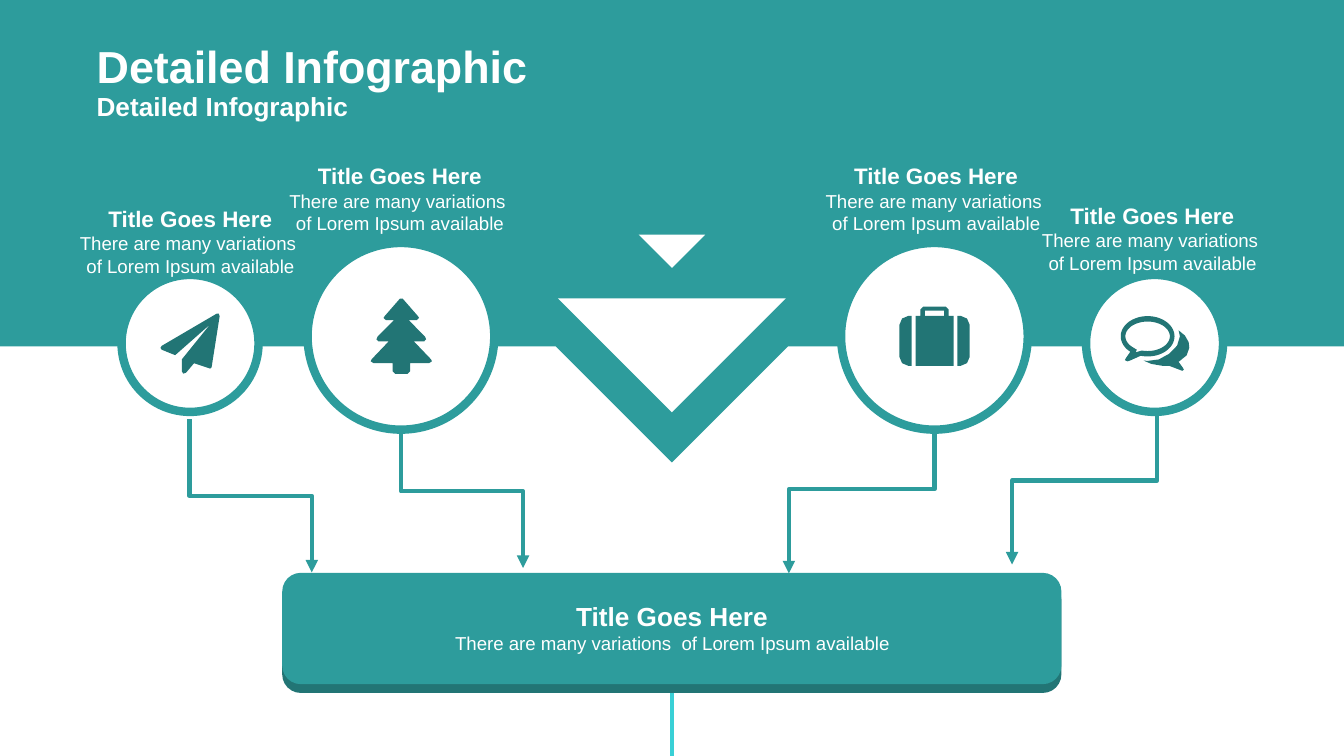
from math import cos, radians, sin

from lxml.etree import SubElement
from pptx import Presentation
from pptx.dml.color import RGBColor
from pptx.enum.shapes import MSO_CONNECTOR as Link, MSO_SHAPE as Preset
from pptx.enum.text import MSO_ANCHOR as Anchor, MSO_AUTO_SIZE as AutoSize, PP_ALIGN as Align
from pptx.oxml.ns import qn
from pptx.util import Pt

TEAL = RGBColor(0x2D, 0x9C, 0x9C)
DARK_TEAL = RGBColor(0x22, 0x75, 0x75)
CYAN = RGBColor(0x39, 0xD0, 0xD6)
WHITE = RGBColor(0xFF, 0xFF, 0xFF)

HEADING = "Title Goes Here"
DETAIL = "There are many variations \vof Lorem Ipsum available"
SUMMARY = "There are many variations  of Lorem Ipsum available"


def arc(cx, cy, rx, ry, start, end):
    return [(cx + rx * cos(radians(a)), cy + ry * sin(radians(a)))
            for a in range(start, end + 1, 5)]


def mirrored(points, axis):
    return [(2 * axis - x, y) for x, y in reversed(points)]


def tree_outline():
    right = [(17.2, 0), (25.4, 9.4), (26, 10.4), (24.8, 11.5), (20.4, 11.5),
             (29.2, 20.4), (29.8, 21.8), (28.7, 23), (23.3, 23), (32.3, 32.4),
             (32.9, 33.6), (31.4, 34.6), (21.2, 34.6), (21.2, 38.9), (19.8, 40.3)]
    return [right + mirrored(right, 16.5)]


def plane_outline():
    return [[(31.7, 1.4), (27.4, 28.8), (26.6, 29.5), (18, 26.6), (13.7, 31.7),
             (12.2, 32.2), (11.5, 31), (11.5, 24.5), (26.6, 5.8), (7.9, 22.3),
             (0.7, 19.4), (0, 18.4), (0.7, 17.3), (30.2, 0), (31.2, 0)]]


def suitcase_outline():
    side = [(6.5, 31.7), (4.7, 31.7), (1.4, 30.3), (0, 27), (0, 9.7),
            (1.4, 6.4), (4.7, 5), (6.5, 5)]
    body = [(8.6, 31.7), (8.6, 5), (11.2, 5), (11.2, 1.6), (12.8, 0),
            (24.8, 0), (26.4, 1.6), (26.4, 5), (29, 5), (29, 31.7)]
    handle_gap = [(13.6, 5), (24, 5), (24, 2.2), (13.6, 2.2)]
    return [side, body, handle_gap, mirrored(side, 18.8)]


def chat_outline():
    bubble = arc(14.4, 10.8, 14.4, 10.8, 130, 465)
    bubble += [(5, 23.8), (3.6, 24.2), (2.2, 23.6), (2.9, 22.3)]
    bubble_gap = arc(14.4, 10.8, 11.9, 7.9, 130, 465)
    bubble_gap += [(7.9, 19.4), (8.6, 18)]
    reply = [(33.1, 27.4), (33.8, 28.6), (33, 29.3), (31.7, 28.8), (25.9, 26.6),
             (22.3, 26.6), (16.4, 25.6), (12.2, 23.8), (14.4, 24), (20.4, 23.2),
             (25.9, 20.2), (30.2, 15.8), (31.7, 10.8), (31, 7.6), (34.4, 10.4),
             (36.4, 14), (36.7, 17), (35.3, 21), (31, 24.5)]
    return [bubble, mirrored(bubble_gap, 0) and bubble_gap[::-1], reply]


def paint(shape, fill, line=None, weight=0):
    shape.shadow.inherit = False
    shape.fill.solid()
    shape.fill.fore_color.rgb = fill
    if line is None:
        shape.line.fill.background()
    else:
        shape.line.color.rgb = line
        shape.line.width = Pt(weight)


def add_preset(shapes, preset, left, top, width, height, fill, line=None, weight=0):
    shape = shapes.add_shape(preset, Pt(left), Pt(top), Pt(width), Pt(height))
    paint(shape, fill, line, weight)
    return shape


def add_pointer(shapes, centre, top, side):
    pointer = add_preset(shapes, Preset.RIGHT_TRIANGLE, centre - side / 2, top,
                         side, side, WHITE)
    pointer.rotation = 315


def add_icon(shapes, left, top, contours):
    placed = [[(Pt(left + x), Pt(top + y)) for x, y in contour] for contour in contours]
    builder = shapes.build_freeform(*placed[0][0])
    builder.add_line_segments(placed[0][1:])
    for contour in placed[1:]:
        builder.move_to(*contour[0])
        builder.add_line_segments(contour[1:])
    paint(builder.convert_to_shape(), DARK_TEAL)


def add_line(shapes, kind, start, end, color):
    line = shapes.add_connector(kind, *map(Pt, start + end))
    line.line.color.rgb = color
    line.line.width = Pt(2.25)
    SubElement(line._element.spPr, qn("a:effectLst"))
    return line


def add_elbow_arrow(shapes, start, end):
    (x1, y1), (x2, y2) = start, end
    cx, cy = (x1 + x2) / 2, (y1 + y2) / 2
    run, drop = x2 - x1, y2 - y1
    arrow = add_line(shapes, Link.ELBOW, (cx - drop / 2, cy + run / 2),
                     (cx + drop / 2, cy - run / 2), TEAL)
    arrow._element.spPr.find(qn("a:xfrm")).set("rot", "5400000")
    SubElement(arrow.line._get_or_add_ln(), qn("a:tailEnd"), type="triangle")


def add_text(shapes, left, top, width, height, lines, align=Align.CENTER):
    box = shapes.add_textbox(Pt(left), Pt(top), Pt(width), Pt(height))
    frame = box.text_frame
    frame.word_wrap = True
    frame.text = "\n".join(text for text, _, _ in lines)
    for paragraph, (_, size, bold) in zip(frame.paragraphs, lines):
        paragraph.alignment = align
        for run in paragraph.runs:
            run.font.name = "Arial"
            run.font.size = Pt(size)
            run.font.bold = bold
            run.font.color.rgb = WHITE
    return frame


def add_header(shapes, top, width, height, text, size):
    frame = add_text(shapes, 51.8, top, width, height, [(text, size, True)], Align.LEFT)
    frame.vertical_anchor = Anchor.MIDDLE
    frame.margin_left = frame.margin_right = frame.margin_top = frame.margin_bottom = 0


def add_caption(shapes, centre, top, width, height, heading_size, detail):
    frame = add_text(shapes, centre - width / 2, top, width, height,
                     [(HEADING, heading_size, True), (detail, 10, False)])
    frame.auto_size = AutoSize.SHAPE_TO_FIT_TEXT


def main():
    deck = Presentation()
    deck.slide_width, deck.slide_height = Pt(720), Pt(405)
    shapes = deck.slides.add_slide(deck.slide_layouts[6]).shapes

    add_line(shapes, Link.STRAIGHT, (360, 370), (360, 405), CYAN)
    banner = add_preset(shapes, Preset.DOWN_ARROW_CALLOUT, 0, -1.2, 720, 249, TEAL)
    for index, ratio in enumerate((0.25, 0.25, 0.25, 0.75)):
        banner.adjustments[index] = ratio
    add_header(shapes, 20.9, 444, 28, "Detailed Infographic", 24)
    add_header(shapes, 49, 324, 16, "Detailed Infographic", 14)
    add_pointer(shapes, 360, 116.6, 86.4)
    add_pointer(shapes, 360, 113.1, 25.2)

    for start, end in (((620, 212.4), (542.2, 302.4)),
                       ((101.5, 224.6), (167, 306.7)),
                       ((500.6, 217.2), (422.6, 307.2)),
                       ((214.8, 222.2), (280.2, 304.3))):
        add_elbow_arrow(shapes, start, end)

    panel = shapes.add_group_shape().shapes
    for top, color in ((311.6, DARK_TEAL), (306.9, TEAL)):
        add_preset(panel, Preset.ROUNDED_RECTANGLE, 151.2, top, 417.4, 59.6, color)

    topics = (
        (214.8, 180.2, 100, 83.5, (198.5, 160), tree_outline()),
        (101.8, 184, 73.4, 106.4, (86, 168), plane_outline()),
        (500.6, 180.2, 100, 83.5, (481.9, 164.3), suitcase_outline()),
        (618.5, 184, 73.4, 104.8, (600.4, 169.4), chat_outline()),
    )
    for cx, cy, size, *_ in topics:
        add_preset(shapes, Preset.OVAL, cx - size / 2, cy - size / 2, size, size,
                   WHITE, TEAL, 4.5)
    for *_, corner, outline in topics:
        add_icon(shapes, *corner, outline)

    add_caption(shapes, 360, 318.2, 315.4, 36, 14, SUMMARY)
    for centre, (_, _, _, top, _, _) in zip((214.2, 102, 501.5, 617.4), topics):
        add_caption(shapes, centre, top, 143.2, 46, 12, DETAIL)

    deck.save("out.pptx")


if __name__ == "__main__":
    main()
